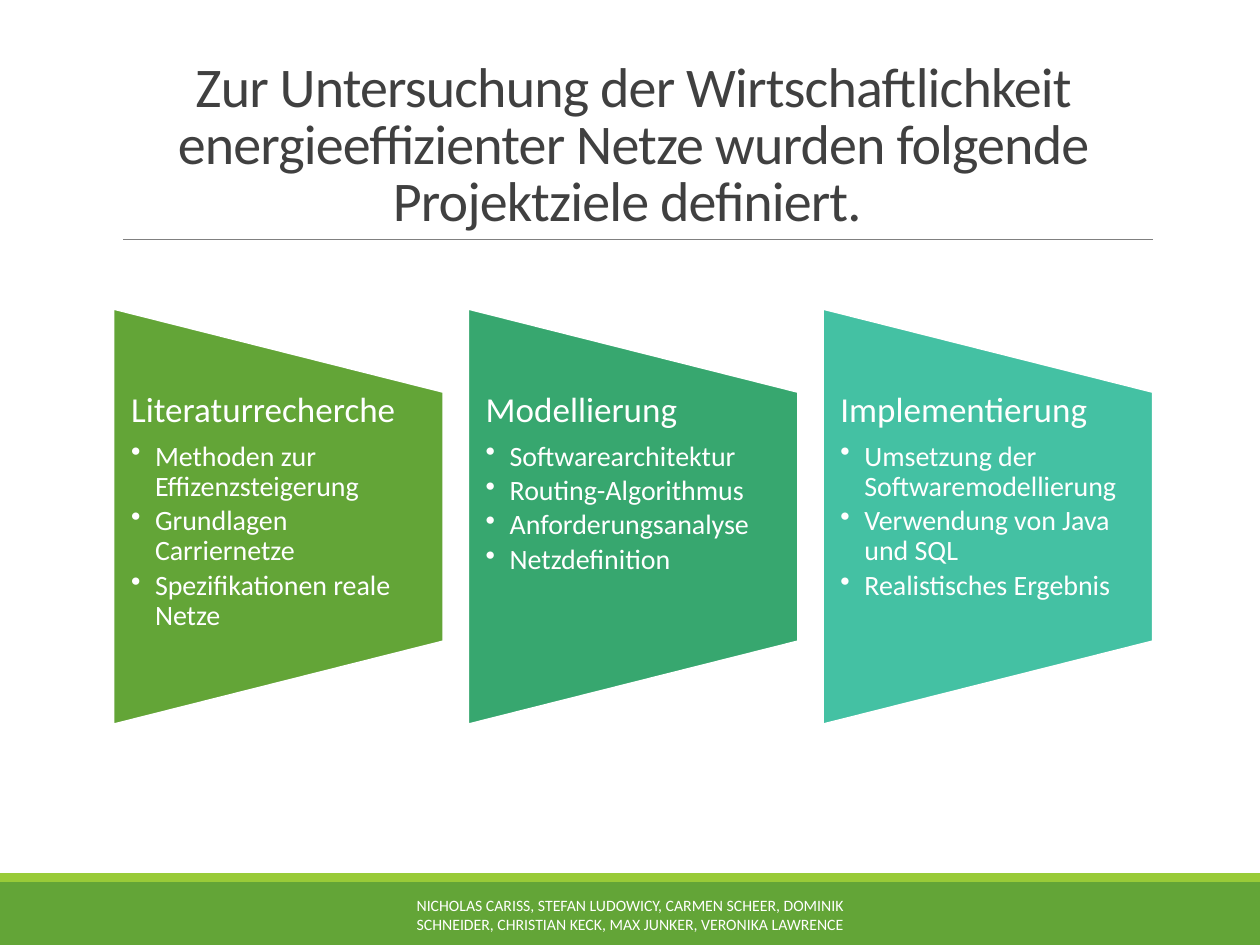
from lxml.etree import SubElement
from pptx import Presentation
from pptx.dml.color import RGBColor
from pptx.enum.shapes import MSO_CONNECTOR, MSO_SHAPE
from pptx.enum.text import MSO_ANCHOR, MSO_AUTO_SIZE, PP_ALIGN
from pptx.oxml.ns import qn
from pptx.util import Inches, Pt

FONT = "Calibri"
WHITE = "FFFFFF"
GREEN = "63A537"
GOALS = [
    ("Literaturrecherche", GREEN,
     ["Methoden zur Effizenzsteigerung", "Grundlagen Carriernetze",
      "Spezifikationen reale Netze"]),
    ("Modellierung", "37A76F",
     ["Softwarearchitektur", "Routing-Algorithmus",
      "Anforderungsanalyse", "Netzdefinition"]),
    ("Implementierung", "44C1A3",
     ["Umsetzung der Softwaremodellierung", "Verwendung von Java und SQL",
      "Realistisches Ergebnis"]),
]
AUTHORS = ("NICHOLAS CARISS, STEFAN LUDOWICY, CARMEN SCHEER, DOMINIK SCHNEIDER, "
           "CHRISTIAN KECK, MAX JUNKER, VERONIKA LAWRENCE")


def rgb(value):
    return RGBColor.from_string(value)


def place(sp, x, y, w, h):
    sp.left, sp.top, sp.width, sp.height = map(Inches, (x, y, w, h))


def style(p, size, color):
    for r in p.runs:
        r.font.name = FONT
        r.font.size = Pt(size)
        r.font.color.rgb = rgb(color)


def add_block(s, kind, x, y, w, h, fill):
    sp = s.shapes.add_shape(kind, *map(Inches, (x, y, w, h)))
    sp.shadow.inherit = False
    sp.fill.solid()
    sp.fill.fore_color.rgb = rgb(fill)
    sp.line.fill.background()
    return sp


def add_text(s, x, y, w, h):
    tf = s.shapes.add_textbox(*map(Inches, (x, y, w, h))).text_frame
    tf.word_wrap = True
    return tf


def add_bullet(p, indent):
    pPr = p._p.get_or_add_pPr()
    pPr.set("marL", str(Inches(indent)))
    pPr.set("indent", str(-Inches(indent)))
    SubElement(pPr, qn("a:buChar")).set("char", "•")


def add_title(s, x, y, w, h):
    title = s.shapes.title
    place(title, x, y, w, h)
    tf = title.text_frame
    tf.text = ("Zur Untersuchung der Wirtschaftlichkeit energieeffizienter Netze "
               "wurden folgende Projektziele definiert. ")
    tf.word_wrap = True
    tf.auto_size = MSO_AUTO_SIZE.NONE
    tf.vertical_anchor = MSO_ANCHOR.BOTTOM
    p = tf.paragraphs[0]
    p.alignment = PP_ALIGN.CENTER
    p.line_spacing = 0.85
    style(p, 32, "404040")
    p.runs[0].font._element.set("spc", "-50")

    y_rule = Inches(y + h)
    rule = s.shapes.add_connector(
        MSO_CONNECTOR.STRAIGHT, Inches(x + 0.08), y_rule, Inches(x + w), y_rule)
    rule.line.color.rgb = rgb("808080")
    rule.line.width = Pt(0.5)
    SubElement(rule._element.spPr, qn("a:effectLst"))


def add_goal(s, x, y, w, h, heading, color, items):
    sp = add_block(s, MSO_SHAPE.FLOWCHART_MANUAL_OPERATION,
                   x + (w - h) / 2, y + (h - w) / 2, h, w, color)
    sp.rotation = 270
    sp.line.color.rgb = rgb(WHITE)
    sp.line.width = Pt(1.25)

    tf = add_text(s, x, y + h / 5, w, h * 3 / 5)
    tf.margin_left = tf.margin_right = Inches(0.14)
    tf.margin_top = tf.margin_bottom = 0
    for i, text in enumerate([heading] + items):
        p = tf.add_paragraph() if i else tf.paragraphs[0]
        p.text = text
        p.line_spacing = 0.9
        p.space_after = Pt(2.4 if i else 7)
        style(p, 16 if i else 20, WHITE)
        if i:
            p.level = 1
            add_bullet(p, 0.19)


def add_goals(s, x, y, w, h):
    goal_w = 2.62
    step = (w - goal_w) / (len(GOALS) - 1)
    for i, goal in enumerate(GOALS):
        add_goal(s, x + i * step, y, goal_w, h, *goal)


def add_footer(s, x, y, w, h):
    stripe = 0.07
    add_block(s, MSO_SHAPE.RECTANGLE, x, y + stripe, w, h - stripe, GREEN)
    add_block(s, MSO_SHAPE.RECTANGLE, x, y, w, stripe, "99CB38")
    text_w = 3.96
    tf = add_text(s, x + (w - text_w) / 2, y + 0.13, text_w, 0.4)
    tf.text = AUTHORS
    tf.vertical_anchor = MSO_ANCHOR.MIDDLE
    p = tf.paragraphs[0]
    p.alignment = PP_ALIGN.CENTER
    style(p, 9, WHITE)


def main():
    prs = Presentation()
    prs.slide_width, prs.slide_height = Inches(10), Inches(7.5)
    s = prs.slides.add_slide(prs.slide_layouts[5])
    add_footer(s, 0, 6.93, 10, 0.57)
    add_title(s, 0.9, 0.31, 8.25, 1.59)
    add_goals(s, 0.9, 2.45, 8.25, 3.3)
    prs.save("out.pptx")


if __name__ == "__main__":
    main()
